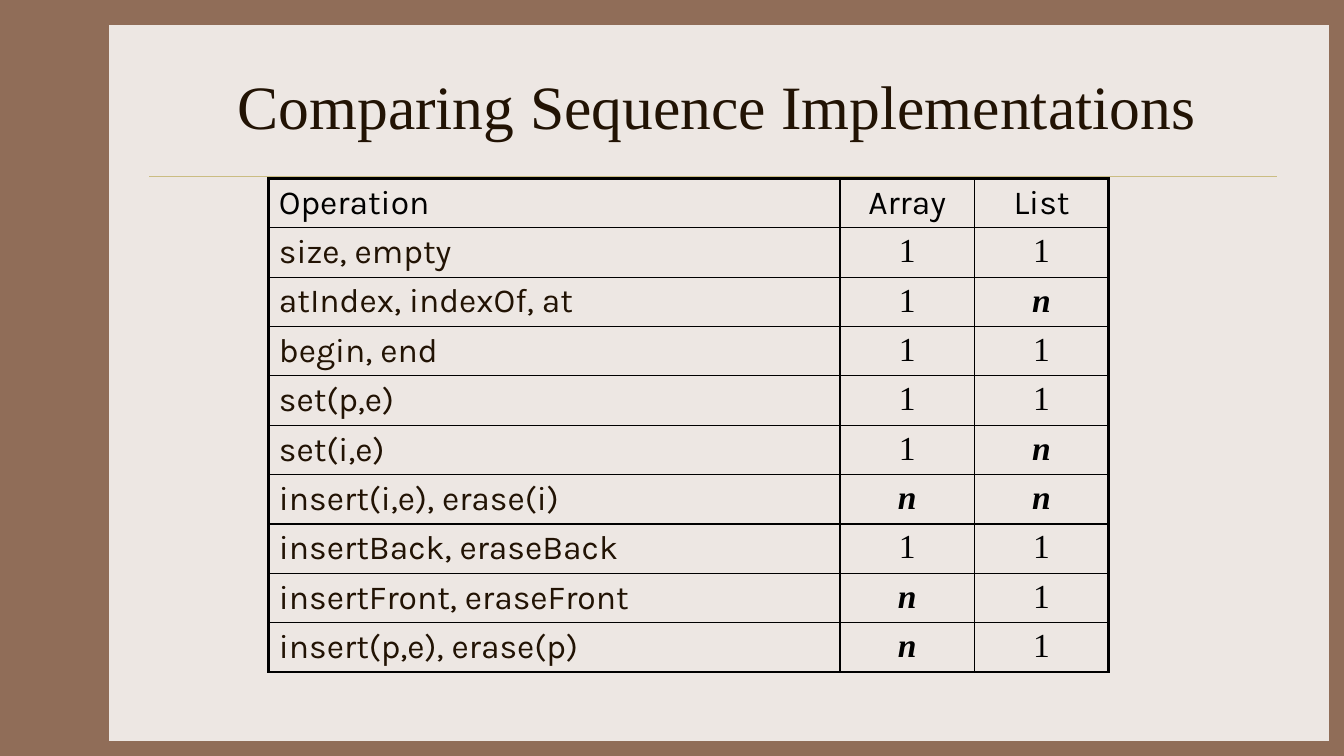
from dataclasses import dataclass

from lxml.etree import SubElement
from pptx import Presentation
from pptx.dml.color import RGBColor
from pptx.enum.shapes import MSO_CONNECTOR, MSO_SHAPE
from pptx.enum.text import MSO_ANCHOR, MSO_AUTO_SIZE, PP_ALIGN
from pptx.oxml.ns import qn
from pptx.slide import Slide
from pptx.table import _Cell
from pptx.util import Inches, Length, Pt


@dataclass(frozen=True)
class Theme:
    frame: str = "906D58"
    panel: str = "EDE7E3"
    rule: str = "CBBD83"
    ink: str = "221304"
    black: str = "000000"
    serif: str = "Times New Roman"
    sans: str = "Karla"
    title_size: float = 44
    table_size: float = 24
    rule_width: float = 0.25
    inner_border: float = 1
    outer_border: float = 2.25


@dataclass(frozen=True)
class Area:
    """A rectangle in grid columns and rows."""
    left: float
    top: float
    width: float
    height: float


@dataclass(frozen=True)
class Operation:
    name: str
    array_cost: str
    list_cost: str


THEME = Theme()
SLIDE_WIDTH, SLIDE_HEIGHT = Inches(13.33), Inches(7.5)
GRID_COLUMNS, GRID_ROWS = 40, 30

PANEL = Area(3.25, 1, 36.3, 28.4)
RULE = Area(4.45, 7, 33.55, 0)
TITLE = Area(4.68, 1.68, 33.33, 5)
COLUMN_SPANS = (17, 4, 4)
ROW_SPAN = 1.96
HEADINGS = ("Operation", "Array", "List")
OPERATIONS = (
    Operation("size, empty", "1", "1"),
    Operation("atIndex, indexOf, at", "1", "n"),
    Operation("begin, end", "1", "1"),
    Operation("set(p,e)", "1", "1"),
    Operation("set(i,e)", "1", "n"),
    Operation("insert(i,e), erase(i)", "n", "n"),
    Operation("insertBack, eraseBack", "1", "1"),
    Operation("insertFront, eraseFront", "n", "1"),
    Operation("insert(p,e), erase(p)", "n", "1"),
)
TABLE = Area(8, 7.08, sum(COLUMN_SPANS), ROW_SPAN * (len(OPERATIONS) + 1))


def across(columns: float) -> Length:
    return Length(round(SLIDE_WIDTH * columns / GRID_COLUMNS))


def down(rows: float) -> Length:
    return Length(round(SLIDE_HEIGHT * rows / GRID_ROWS))


def place(area: Area) -> tuple[Length, Length, Length, Length]:
    return across(area.left), down(area.top), across(area.width), down(area.height)


def color(value: str) -> RGBColor:
    return RGBColor.from_string(value)


def draw_backdrop(slide: Slide) -> None:
    """Put the panel and the rule behind the title."""
    slide.background.fill.solid()
    slide.background.fill.fore_color.rgb = color(THEME.frame)

    panel = slide.shapes.add_shape(MSO_SHAPE.RECTANGLE, *place(PANEL))
    panel.shadow.inherit = False
    panel.fill.solid()
    panel.fill.fore_color.rgb = color(THEME.panel)
    panel.line.fill.background()

    left, top, width, height = place(RULE)
    rule = slide.shapes.add_connector(
        MSO_CONNECTOR.STRAIGHT, left, top, left + width, top + height)
    rule.line.color.rgb = color(THEME.rule)
    rule.line.width = Pt(THEME.rule_width)
    SubElement(rule.element.spPr, qn("a:effectLst"))

    for shape in (panel, rule):
        slide.shapes.title.element.addprevious(shape.element)


def write_title(slide: Slide, text: str) -> None:
    title = slide.shapes.title
    title.left, title.top, title.width, title.height = place(TITLE)
    frame = title.text_frame
    frame.text = text
    frame.auto_size = MSO_AUTO_SIZE.NONE
    frame.vertical_anchor = MSO_ANCHOR.MIDDLE
    para = frame.paragraphs[0]
    para.alignment = PP_ALIGN.CENTER
    para.font.name = THEME.serif
    para.font.size = Pt(THEME.title_size)
    para.font.color.rgb = color(THEME.ink)


def draw_borders(cell: _Cell, outer_sides: dict[str, bool]) -> None:
    """Line every side, more heavily where it lies on the table's edge."""
    properties = cell._tc.get_or_add_tcPr()
    for side, is_outer in outer_sides.items():
        width = THEME.outer_border if is_outer else THEME.inner_border
        line = SubElement(properties, qn(f"a:ln{side}"), w=str(Pt(width)))
        fill = SubElement(line, qn("a:solidFill"))
        SubElement(fill, qn("a:srgbClr"), val=THEME.black)


def write_cell(cell: _Cell, text: str, is_heading: bool, is_name: bool) -> None:
    cell.text = text
    para = cell.text_frame.paragraphs[0]
    para.alignment = PP_ALIGN.LEFT if is_name else PP_ALIGN.CENTER
    para.font.size = Pt(THEME.table_size)
    para.font.name = THEME.sans if is_heading or is_name else THEME.serif
    para.font.color.rgb = color(THEME.ink if is_name and not is_heading else THEME.black)
    para.font.bold = para.font.italic = text == "n"


def draw_table(slide: Slide) -> None:
    lines = [HEADINGS] + [(op.name, op.array_cost, op.list_cost) for op in OPERATIONS]
    table = slide.shapes.add_table(len(lines), len(HEADINGS), *place(TABLE)).table
    table.first_row = table.horz_banding = False
    for column, span in zip(table.columns, COLUMN_SPANS):
        column.width = across(span)

    last_row, last_column = len(lines) - 1, len(HEADINGS) - 1
    for row, texts in enumerate(lines):
        table.rows[row].height = down(ROW_SPAN)
        for column, text in enumerate(texts):
            cell = table.cell(row, column)
            write_cell(cell, text, is_heading=row == 0, is_name=column == 0)
            draw_borders(cell, {"L": column == 0, "R": column == last_column,
                                "T": row == 0, "B": row == last_row})
            cell.fill.background()


def main() -> None:
    deck = Presentation()
    deck.slide_width, deck.slide_height = SLIDE_WIDTH, SLIDE_HEIGHT
    slide = deck.slides.add_slide(deck.slide_layouts.get_by_name("Title Only"))
    draw_backdrop(slide)
    write_title(slide, "Comparing Sequence Implementations")
    draw_table(slide)
    deck.save("out.pptx")


if __name__ == "__main__":
    main()
